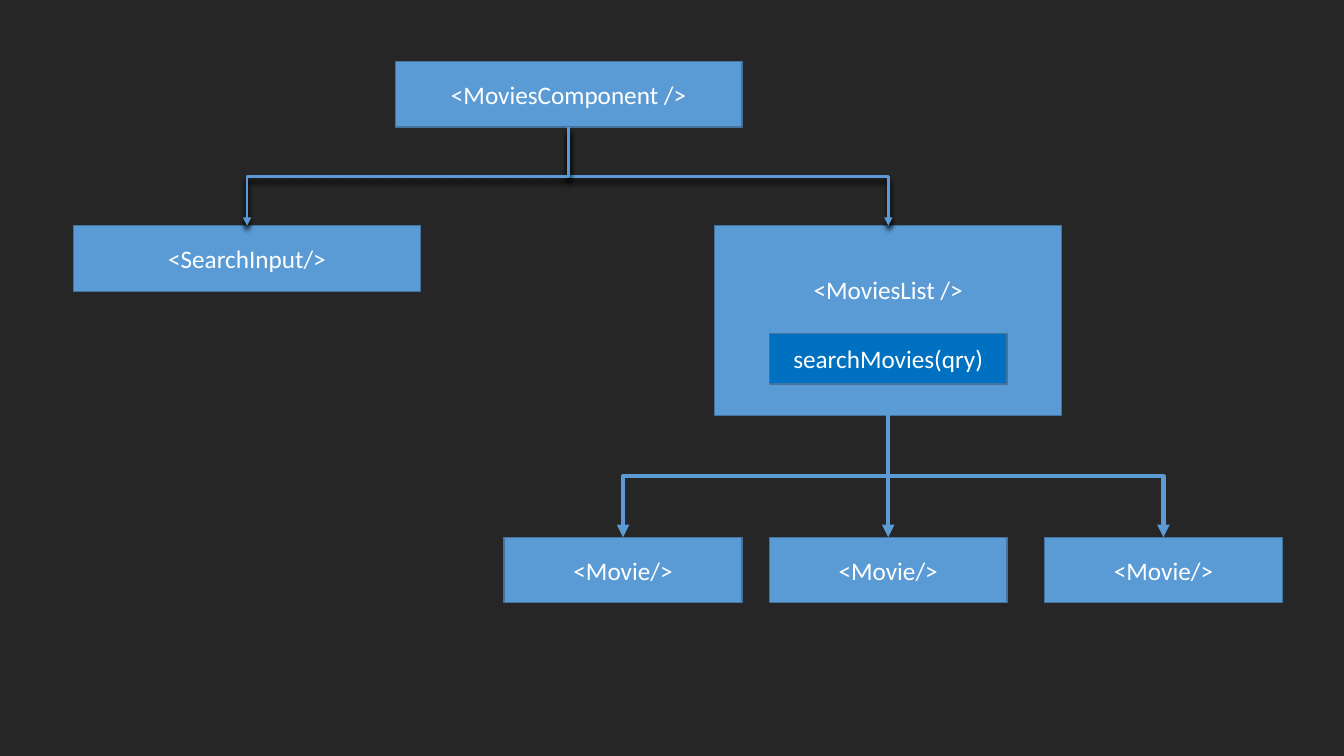
import dataclasses

import lxml.etree
import pptx
import pptx.dml.color
import pptx.enum.shapes
import pptx.enum.text
import pptx.oxml.ns
import pptx.util

WIDE, HIGH = pptx.util.Inches(13.33), pptx.util.Inches(7.5)
BACK, BLUE, DEEP, EDGE, WHITE = "262626", "5B9BD5", "0070C0", "43739E", "FFFFFF"
FONT, SIZE = "Calibri", 18

# Box sizes and tier tops, in percent of the slide
BROAD, SLIM = 25.81, 17.7
LOW, CALL, TALL = 8.67, 6.67, 25.07
ROOT, MIDDLE, LEAF = 8.13, 29.87, 71.07
LIST = 66.09


@dataclasses.dataclass(frozen=True)
class Box:
    """A labelled box: centre, top, width and height in percent of the slide."""
    text: str
    mid: float
    top: float
    wide: float
    high: float = LOW
    fill: str = BLUE
    lift: float = 0  # extra bottom inset, raising the label


@dataclasses.dataclass(frozen=True)
class Link:
    """An arrow from the bottom of one box to the top of another."""
    start: str
    end: str
    points: float
    shade: bool = False


BOXES = {
    "root": Box("<MoviesComponent />", 42.31, ROOT, BROAD),
    "search": Box("<SearchInput/>", 18.38, MIDDLE, BROAD),
    "list": Box("<MoviesList />", LIST, MIDDLE, BROAD, TALL, lift=8.13),
    "left": Box("<Movie/>", 46.36, LEAF, SLIM),
    "centre": Box("<Movie/>", LIST, LEAF, SLIM),
    "right": Box("<Movie/>", 86.57, LEAF, SLIM),
}
QUERY = Box("searchMovies(qry)", LIST, 44.13, SLIM, CALL, DEEP)
LINKS = [
    Link("root", "list", 2, True),
    Link("root", "search", 2, True),
    Link("list", "right", 3),
    Link("list", "left", 3),
    Link("list", "centre", 3),
]


def across(share: float) -> int:
    return round(WIDE * share / 100)


def down(share: float) -> int:
    return round(HIGH * share / 100)


def paint(part, tint: str) -> None:
    """Give a fill a solid colour."""
    part.solid()
    part.fore_color.rgb = pptx.dml.color.RGBColor.from_string(tint)


def add_tag(parent, name: str, **attrs: str):
    """Append a drawing element with its attributes."""
    node = lxml.etree.SubElement(parent, pptx.oxml.ns.qn(name))
    for key, value in attrs.items():
        node.set(key, value)
    return node


def draw_box(slide, box: Box):
    shape = slide.shapes.add_shape(
        pptx.enum.shapes.MSO_SHAPE.RECTANGLE,
        across(box.mid - box.wide / 2), down(box.top),
        across(box.wide), down(box.high))
    shape.shadow.inherit = False
    paint(shape.fill, box.fill)
    paint(shape.line.fill, EDGE)
    shape.line.width = pptx.util.Pt(1)

    frame = shape.text_frame
    frame.text = box.text
    frame.word_wrap = True
    frame.vertical_anchor = pptx.enum.text.MSO_ANCHOR.MIDDLE
    frame.margin_bottom += down(box.lift)
    line = frame.paragraphs[0]
    line.alignment = pptx.enum.text.PP_ALIGN.CENTER
    font = line.runs[0].font
    font.name, font.size = FONT, pptx.util.Pt(SIZE)
    paint(font.fill, WHITE)
    return shape


def turn(line, run: int, drop: int, mid: int, top: int) -> None:
    """Rotate an elbow so that it leaves downwards and arrives downwards."""
    line.width, line.height = drop, abs(run)
    line.left = mid + (run - drop) // 2
    line.top = top + (drop - abs(run)) // 2
    frame = line._element.spPr.find(pptx.oxml.ns.qn("a:xfrm"))
    frame.set("rot", str((270 if run > 0 else 90) * 60000))
    frame.set("flipH", "1" if run > 0 else "0")
    frame.set("flipV", "0")


def draw_link(slide, link: Link, shapes: dict) -> None:
    start, end = BOXES[link.start], BOXES[link.end]
    mid, top = across(start.mid), down(start.top + start.high)
    run, drop = across(end.mid) - mid, down(end.top) - top
    kinds = pptx.enum.shapes.MSO_CONNECTOR
    line = slide.shapes.add_connector(
        kinds.ELBOW if run else kinds.STRAIGHT, mid, top, mid + run, top + drop)
    line.begin_connect(shapes[link.start], 2)
    line.end_connect(shapes[link.end], 0)
    if run:
        turn(line, run, drop, mid, top)
    paint(line.line.fill, BLUE)
    line.line.width = pptx.util.Pt(link.points)
    add_tag(line.line._get_or_add_ln(), "a:tailEnd", type="triangle")

    # Shadow straight below, or none at all
    effect = add_tag(line._element.spPr, "a:effectLst")
    if link.shade:
        reach = str(pptx.util.Pt(4))
        cast = add_tag(effect, "a:outerShdw", blurRad=reach, dist=reach,
                       dir=str(90 * 60000), algn="ctr", rotWithShape="0")
        add_tag(cast, "a:srgbClr", val="000000")


def main() -> None:
    deck = pptx.Presentation()
    deck.slide_width, deck.slide_height = WIDE, HIGH
    slide = deck.slides.add_slide(deck.slide_layouts[6])
    paint(slide.background.fill, BACK)

    # Component tree, its arrows, then the call inside the list
    shapes = {name: draw_box(slide, box) for name, box in BOXES.items()}
    for link in LINKS:
        draw_link(slide, link, shapes)
    draw_box(slide, QUERY)

    deck.save("out.pptx")


main()
